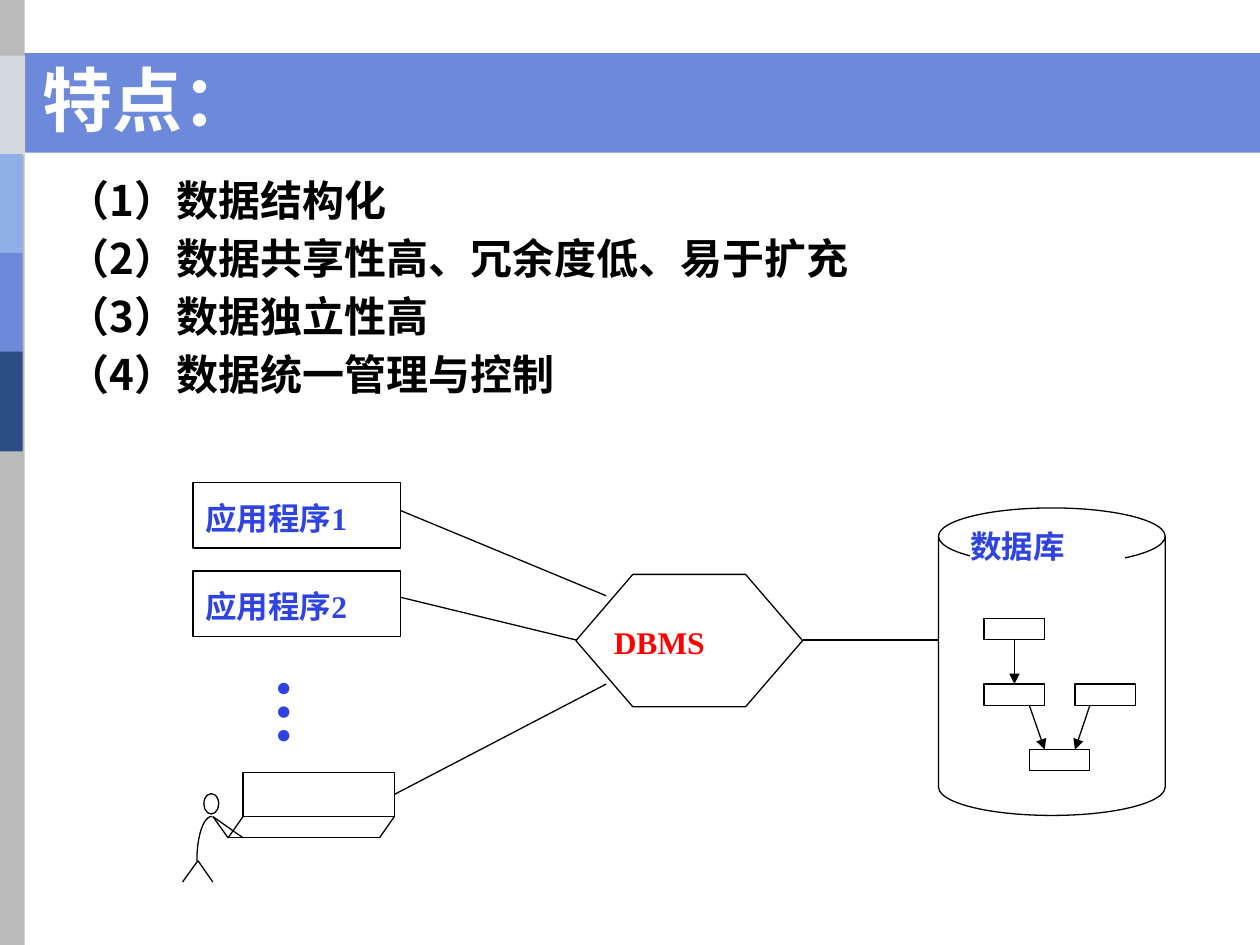
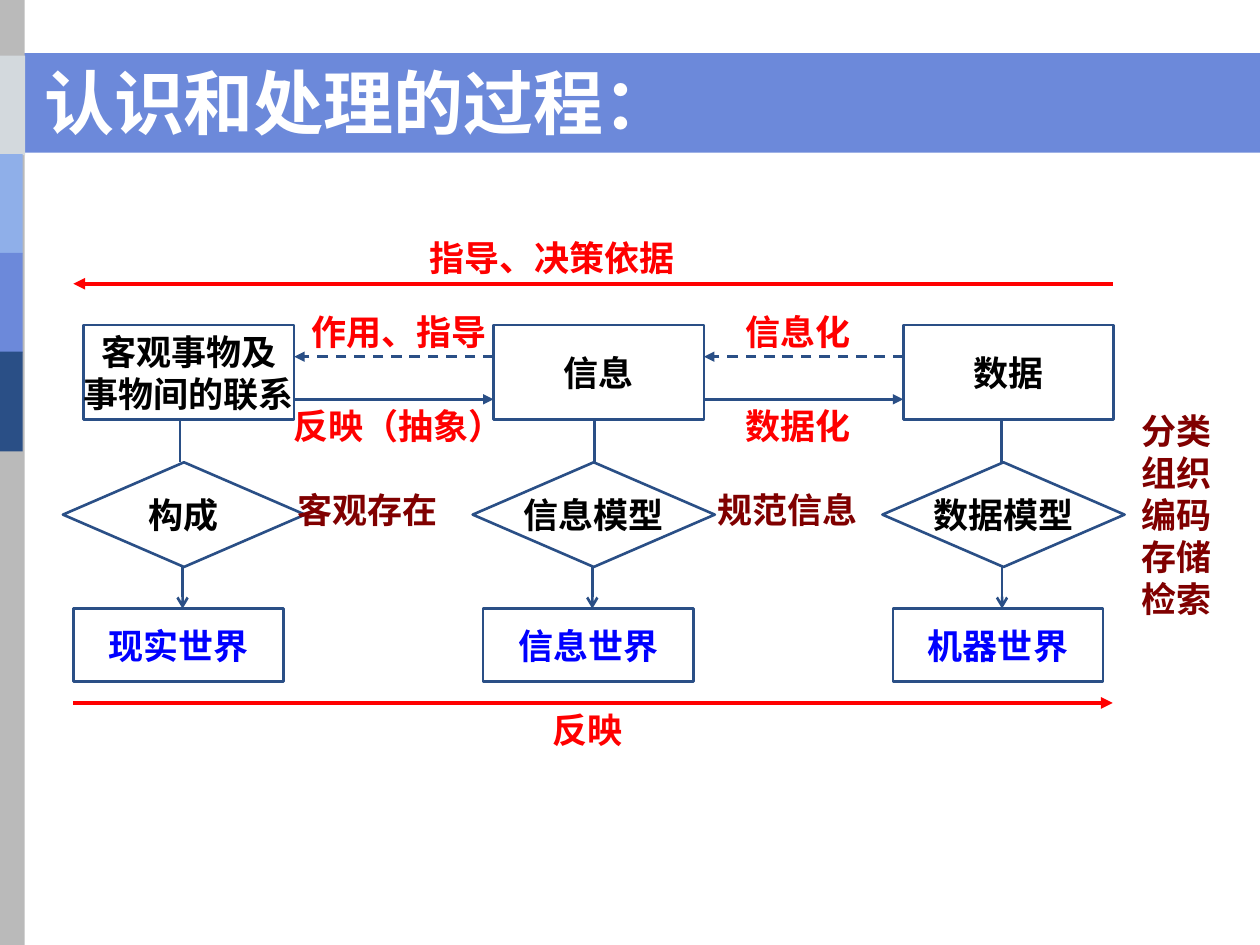
import math

import lxml.etree
import pptx
import pptx.dml.color
import pptx.enum.dml
import pptx.enum.shapes
import pptx.enum.text
import pptx.oxml.ns
import pptx.util

Cm = pptx.util.Cm
Pt = pptx.util.Pt
qn = pptx.oxml.ns.qn
SHAPE = pptx.enum.shapes.MSO_SHAPE
ALIGN = pptx.enum.text.PP_ALIGN
ANCHOR = pptx.enum.text.MSO_ANCHOR

COLORS = {
    "white": "FFFFFF",
    "black": "000000",
    "gray": "BABABA",
    "mist": "D3D9DD",
    "sky": "8FAFE9",
    "periwinkle": "6C89DA",
    "navy": "2A4F86",
    "royal": "2E43E0",
    "blue": "0000FF",
    "red": "FF0000",
    "maroon": "800000",
}
SANS = "Noto Sans CJK SC"
SERIF = "Times New Roman"
TITLE_FONT = "DejaVu Sans"


def rgb(name):
    return pptx.dml.color.RGBColor.from_string(COLORS[name])


def write(frame, text, size=20, font=SANS, color="black", align=ALIGN.CENTER,
          anchor=ANCHOR.MIDDLE, insets=(0.25, 0.13, 0.25, 0.13), wrap=False, gap=0):
    frame.auto_size = pptx.enum.text.MSO_AUTO_SIZE.NONE
    frame.word_wrap = wrap
    frame.vertical_anchor = anchor
    frame.margin_left, frame.margin_top, frame.margin_right, frame.margin_bottom = map(Cm, insets)
    lines = text.split("\n")
    for index, line in enumerate(lines):
        paragraph = frame.paragraphs[0] if index == 0 else frame.add_paragraph()
        paragraph.alignment = align
        paragraph.space_before = Pt(gap if index else 0)
        if len(lines) > 1:
            paragraph.line_spacing = Pt(size * 1.2)
        run = paragraph.add_run()
        run.text = line
        run.font.size = Pt(size)
        run.font.bold = True
        run.font.name = font
        run.font.color.rgb = rgb(color)
        lxml.etree.SubElement(run._r.get_or_add_rPr(), qn("a:ea"), typeface=SANS)


class Deck:
    def __init__(self):
        self.presentation = pptx.Presentation()
        self.presentation.slide_width = Cm(25.4)
        self.presentation.slide_height = Cm(19.05)
        self.layout = self.presentation.slide_layouts[5]
        self.slide = None

    def start(self, title, box, anchor):
        first = self.slide is None
        self.slide = self.presentation.slides.add_slide(self.layout)
        if first:
            self.paint_layout()
        heading = self.slide.shapes.title
        heading.left, heading.top, heading.width, heading.height = map(Cm, box)
        write(heading.text_frame, title, size=40, font=TITLE_FONT, color="white",
              align=ALIGN.LEFT, anchor=anchor, wrap=True)

    def paint_layout(self):
        bands = [
            self.shape(SHAPE.RECTANGLE, (0, 1.07, 25.4, 2.01), fill="periwinkle", line=None),
            self.shape(SHAPE.RECTANGLE, (-0.03, 0, 0.53, 19.05), fill="gray", line=None),
        ]
        swatches = [("mist", 0), ("sky", -0.05), ("periwinkle", -0.05), ("navy", -0.05)]
        for row, (color, left) in enumerate(swatches):
            bands.append(self.shape(SHAPE.RECTANGLE, (left, 1.12 + 1.99 * row, 0.51, 2.01),
                                    fill=color, line=None))
        for position, band in enumerate(bands):
            self.layout.shapes._spTree.insert(2 + position, band._element)

    def style(self, shape, fill, line, width):
        shape.shadow.inherit = False
        if fill:
            shape.fill.solid()
            shape.fill.fore_color.rgb = rgb(fill)
        else:
            shape.fill.background()
        if line:
            shape.line.color.rgb = rgb(line)
            shape.line.width = Pt(width)
        else:
            shape.line.fill.background()
        return shape

    def shape(self, kind, box, text=None, fill="white", line="black", width=0.75, **text_format):
        shape = self.slide.shapes.add_shape(kind, *map(Cm, box))
        if text:
            write(shape.text_frame, text, **text_format)
        return self.style(shape, fill, line, width)

    def node(self, kind, box, text, color="black"):
        return self.shape(kind, box, text, fill=None, line="navy", width=1.5, color=color)

    def label(self, box, text, vertical=False, **text_format):
        frame = self.slide.shapes.add_textbox(*map(Cm, box)).text_frame
        write(frame, text, **text_format)
        if vertical:
            frame._txBody.bodyPr.set("vert", "eaVert")

    def line(self, start, end, color="black", width=0.75, head=None, dashed=False,
             source=None, target=None):
        straight = pptx.enum.shapes.MSO_CONNECTOR.STRAIGHT
        connector = self.slide.shapes.add_connector(straight, *map(Cm, (*start, *end)))
        if source:
            connector.begin_connect(*source)
        if target:
            connector.end_connect(*target)
        connector.line.color.rgb = rgb(color)
        connector.line.width = Pt(width)
        if dashed:
            connector.line.dash_style = pptx.enum.dml.MSO_LINE.DASH
        if head:
            lxml.etree.SubElement(connector.line._get_or_add_ln(), qn("a:tailEnd"), type=head)
        lxml.etree.SubElement(connector._element.spPr, qn("a:effectLst"))

    def curve(self, points):
        builder = self.slide.shapes.build_freeform(*map(Cm, points[0]))
        builder.add_line_segments([tuple(map(Cm, point)) for point in points[1:]], close=False)
        self.style(builder.convert_to_shape(), None, "black", 0.75)


def draw_user_terminal(deck):
    screen = deck.shape(SHAPE.RECTANGLE, (4.9, 15.57, 3.05, 0.89))
    shoulder, hip, hand = (4.29, 16.46), (3.99, 17.35), (4.6, 16.89)
    strokes = [
        (shoulder, hand), (shoulder, (4.9, 16.89)),
        ((4.9, 16.46), hand), ((7.95, 16.46), (7.65, 16.89)), (hand, (7.65, 16.89)),
        (hip, (4.29, 17.78)), (hip, (3.68, 17.78)),
    ]
    for start, end in strokes:
        deck.line(start, end)
    deck.shape(SHAPE.FLOWCHART_CONNECTOR, (4.11, 16, 0.3, 0.41))
    angles = [math.pi / 2 * step / 12 for step in range(13)]
    deck.curve([(4.27 - 0.3 * math.sin(a), 17.35 - 0.89 * math.cos(a)) for a in angles])
    return screen


def draw_database(deck):
    deck.shape(SHAPE.CAN, (18.92, 10.24, 4.57, 6.2))
    corners = [(19.84, 12.47), (19.84, 13.79), (21.67, 13.79), (20.75, 15.11)]
    records = [deck.shape(SHAPE.RECTANGLE, (*corner, 1.22, 0.43)) for corner in corners]
    deck.line((20.45, 12.9), (20.45, 13.79), head="triangle",
              source=(records[0], 2), target=(records[1], 0))
    deck.line((20.75, 14.22), (21.06, 15.11), head="triangle")
    deck.line((21.97, 14.22), (21.67, 15.11), head="triangle")


def build_features(deck):
    deck.start("特点：", (0.61, 1.27, 21.64, 1.7), ANCHOR.BOTTOM)
    features = ["数据结构化", "数据共享性高、冗余度低、易于扩充", "数据独立性高", "数据统一管理与控制"]
    deck.label((1.12, 3.38, 23.39, 4.8),
               "\n".join(f"（{number}）{feature}" for number, feature in enumerate(features, 1)),
               size=24, align=ALIGN.LEFT, anchor=ANCHOR.TOP, wrap=True, gap=4.5)

    diagram_text = dict(size=18, font=SERIF, anchor=ANCHOR.TOP, wrap=True)
    screen = draw_user_terminal(deck)
    dbms = deck.shape(SHAPE.HEXAGON, (11.61, 11.58, 4.57, 2.67), "DBMS", color="red",
                      align=ALIGN.LEFT, insets=(0, 0.53, 0, 0.13), **diagram_text)
    dbms.adjustments[0] = 0.43
    draw_database(deck)
    deck.line((16.18, 12.9), (18.92, 12.9))
    deck.line((7.95, 10.24), (12.22, 12.01))
    deck.line((7.95, 12.01), (11.61, 12.9))
    deck.line((7.95, 16.03), (12.22, 13.79), source=(screen, 3))
    for row in range(2):
        deck.shape(SHAPE.RECTANGLE, (3.89, 9.73 + 1.78 * row, 4.19, 1.32), f"应用程序{row + 1}",
                   color="royal", align=ALIGN.JUSTIFY, insets=(0.25, 0.33, 0.25, 0.13),
                   **diagram_text)
    deck.shape(SHAPE.RECTANGLE, (19.56, 10.62, 3.12, 0.89), "数据库", line=None, color="royal",
               align=ALIGN.LEFT, insets=(0, 0, 0, 0), **diagram_text)
    deck.label((5, 13.41, 2.18, 1.85), "…", vertical=True, size=40, font=SERIF, color="royal",
               align=ALIGN.LEFT, anchor=ANCHOR.TOP, insets=(0.13, 0.25, 0.13, 0.25), wrap=True)


def build_process(deck):
    deck.start("认识和处理的过程：", (0.64, 1.07, 17.58, 1.75), ANCHOR.TOP)
    pitch = 8.26
    stages = [
        ("客观事物及\n事物间的联系", "构成", "现实世界", 3.63),
        ("信息", "信息模型", "信息世界", 11.99),
        ("数据", "数据模型", "机器世界", 20.19),
    ]
    for column, (subject, model, world, stem) in enumerate(stages):
        shift = pitch * column
        deck.node(SHAPE.RECTANGLE, (1.69 + shift, 6.55, 4.24, 1.91), subject)
        deck.node(SHAPE.DIAMOND, (1.27 + shift, 9.32, 4.88, 2.11), model)
        deck.node(SHAPE.RECTANGLE, (1.48 + shift, 12.27, 4.24, 1.47), world, color="blue")
        deck.line((stem, 8.46), (stem, 9.32), color="navy", width=1.5)
        deck.line((3.68 + shift, 11.43), (3.68 + shift, 12.27), color="navy", width=1.5,
                  head="arrow")

    exchanges = [("作用、指导", "反映（抽象）", 5.92), ("信息化", "数据化", 13.97)]
    for column, (backward, forward, left) in enumerate(exchanges):
        near, far = 5.93 + pitch * column, 9.95 + pitch * column
        deck.line((near, 8.05), (far, 8.05), color="navy", width=1.5, head="triangle")
        deck.line((far, 7.19), (near, 7.19), color="navy", width=1.5, head="triangle", dashed=True)
        deck.label((left, 6.15, 4.24, 1.07), backward, color="red")
        deck.label((left, 8.05, 4.24, 1.07), forward, color="red")

    deck.label((5.92, 9.73, 2.97, 1.07), "客观存在", color="maroon")
    deck.label((14.4, 9.73, 2.97, 1.07), "规范信息", color="maroon")
    deck.label((22.86, 8.26, 1.7, 4.24), "分类\n组织\n编码\n存储\n检索", color="maroon")

    deck.line((22.43, 5.72), (1.48, 5.72), color="red", width=2.25, head="triangle")
    deck.line((1.48, 14.17), (22.43, 14.17), color="red", width=2.25, head="triangle")
    deck.label((8.69, 4.65, 4.88, 1.07), "指导、决策依据", color="red")
    deck.label((9.73, 14.17, 4.24, 1.07), "反映", color="red")


def main():
    deck = Deck()
    build_features(deck)
    build_process(deck)
    deck.presentation.save("out.pptx")


if __name__ == "__main__":
    main()
